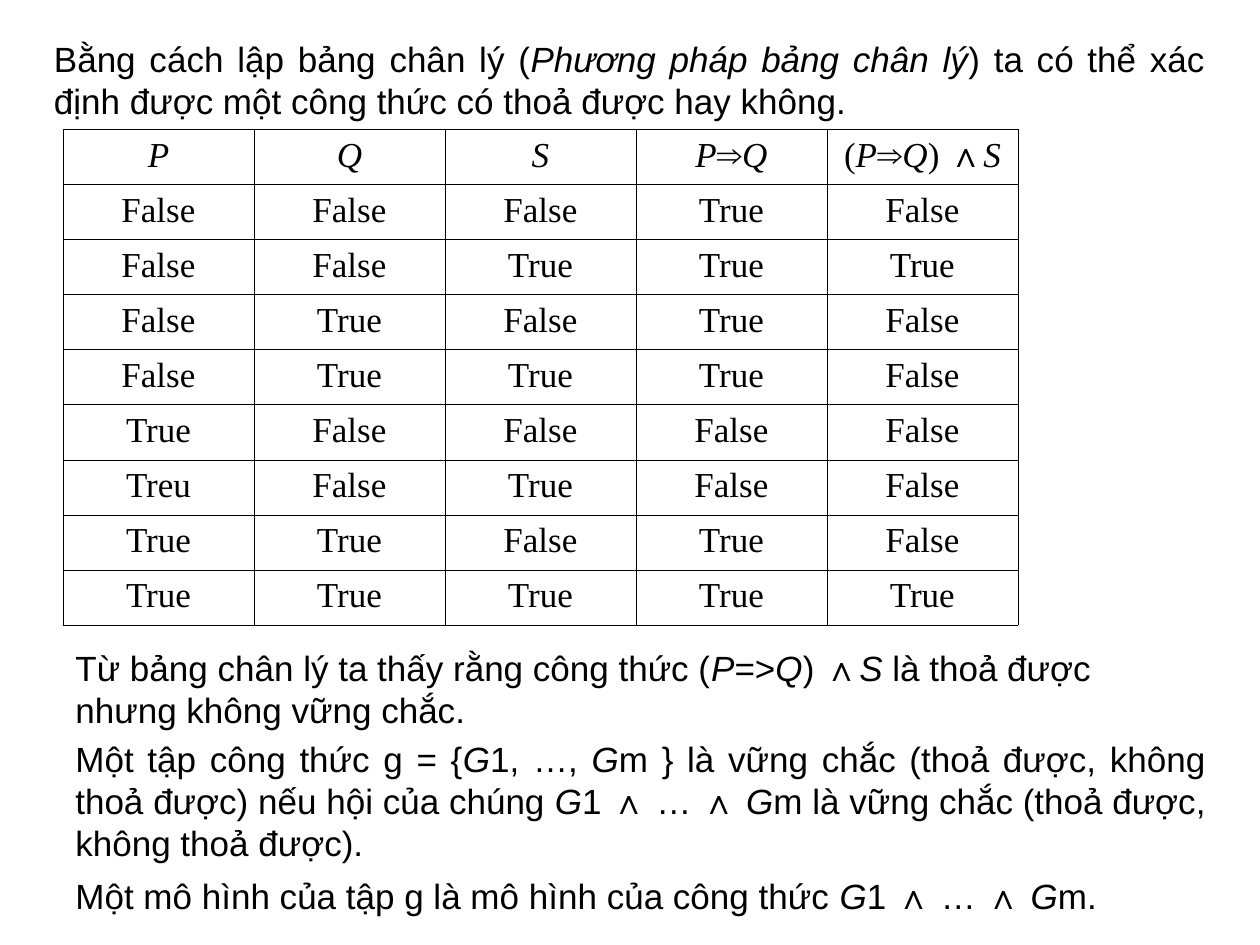
from itertools import groupby

from lxml.etree import SubElement
from pptx import Presentation
from pptx.dml.color import RGBColor
from pptx.enum.text import MSO_ANCHOR as Anchor, MSO_AUTO_SIZE as AutoSize, PP_ALIGN as Align
from pptx.oxml.ns import qn
from pptx.util import Emu, Pt

SCALE = 9144
COLORS = {"ink": "000000"}
BODY, SERIF = "Arial", "Times New Roman"
SYMBOLS = "⇒∧"

INTRO = ["Bằng cách lập bảng chân lý (*Phương pháp bảng chân lý*) ta có thể xác định "
         "được một công thức có thoả được hay không."]
FINDING = ["Từ bảng chân lý ta thấy rằng công thức (*P*=>*Q*) ∧*S* là thoả được "
           "nhưng không vững chắc."]
DEFINITIONS = [
    "Một tập công thức g = {*G*1, …, *G*m } là vững chắc (thoả được, không thoả được) "
    "nếu hội của chúng *G*1 ∧ … ∧ *G*m là vững chắc (thoả được, không thoả được).",
    "Một mô hình của tập g là mô hình của công thức *G*1 ∧ … ∧ *G*m.",
]
TRUTH_ROWS = [
    ["*P*", "*Q*", "*S*", "*P*⇒*Q*", "(*P*⇒*Q*) ∧*S*"],
    ["False", "False", "False", "True", "False"],
    ["False", "False", "True", "True", "True"],
    ["False", "True", "False", "True", "False"],
    ["False", "True", "True", "True", "False"],
    ["True", "False", "False", "False", "False"],
    ["Treu", "False", "True", "False", "False"],
    ["True", "True", "False", "True", "False"],
    ["True", "True", "True", "True", "True"],
]


def px(length):
    """Turn a length in px into EMU."""
    return Emu(round(length * SCALE))


def write_paragraph(para, text, face, align):
    """Fill a paragraph, with the parts between asterisks in italics."""
    para.alignment = align
    para.font.name = face
    para.font.size = Pt(20)
    para.font.color.rgb = RGBColor.from_string(COLORS["ink"])
    for index, piece in enumerate(text.split("*")):
        for is_symbol, chars in groupby(piece, lambda char: face != BODY and char in SYMBOLS):
            span = para.add_run()
            span.text = "".join(chars)
            if index % 2:
                span.font.italic = True
            if is_symbol:
                span.font.name = BODY


def add_text(page, box, lines, align=Align.JUSTIFY, anchor=Anchor.MIDDLE, gap=0):
    """Place a block of wrapped paragraphs in a box."""
    frame = page.shapes.add_textbox(*map(px, box)).text_frame
    frame.word_wrap = True
    frame.auto_size = AutoSize.SHAPE_TO_FIT_TEXT
    frame.vertical_anchor = anchor
    for index, line in enumerate(lines):
        para = frame.add_paragraph() if index else frame.paragraphs[0]
        write_paragraph(para, line, BODY, align)
        para.space_after = Pt(gap)


def add_borders(cell):
    """Draw a thin line on every side of a cell."""
    properties = cell._tc.get_or_add_tcPr()
    for side in ("lnL", "lnR", "lnT", "lnB"):
        line = SubElement(properties, qn(f"a:{side}"), w=str(Pt(0.45)))
        fill = SubElement(line, qn("a:solidFill"))
        SubElement(fill, qn("a:srgbClr"), val=COLORS["ink"])


def add_truth_table(page, box, rows):
    """Place the truth table on an even grid in a box."""
    _, _, width, height = box
    table = page.shapes.add_table(len(rows), len(rows[0]), *map(px, box)).table
    table.first_row = table.horz_banding = False
    for column in table.columns:
        column.width = px(width / len(rows[0]))
    for row, texts in zip(table.rows, rows):
        row.height = px(height / len(rows))
        for cell, text in zip(row.cells, texts):
            add_borders(cell)
            cell.fill.background()
            write_paragraph(cell.text_frame.paragraphs[0], text, SERIF, Align.CENTER)


def main():
    """Build the slide and save it."""
    deck = Presentation()
    deck.slide_width, deck.slide_height = px(1000), px(750)
    page = deck.slides.add_slide(deck.slide_layouts[6])
    add_text(page, (33, 25, 933, 77), INTRO)
    add_truth_table(page, (50, 103, 758, 393), TRUTH_ROWS)
    add_text(page, (50, 508, 908, 77), FINDING, Align.LEFT, Anchor.TOP)
    add_text(page, (50, 580, 917, 152), DEFINITIONS, gap=6.2)
    deck.save("out.pptx")


if __name__ == "__main__":
    main()
